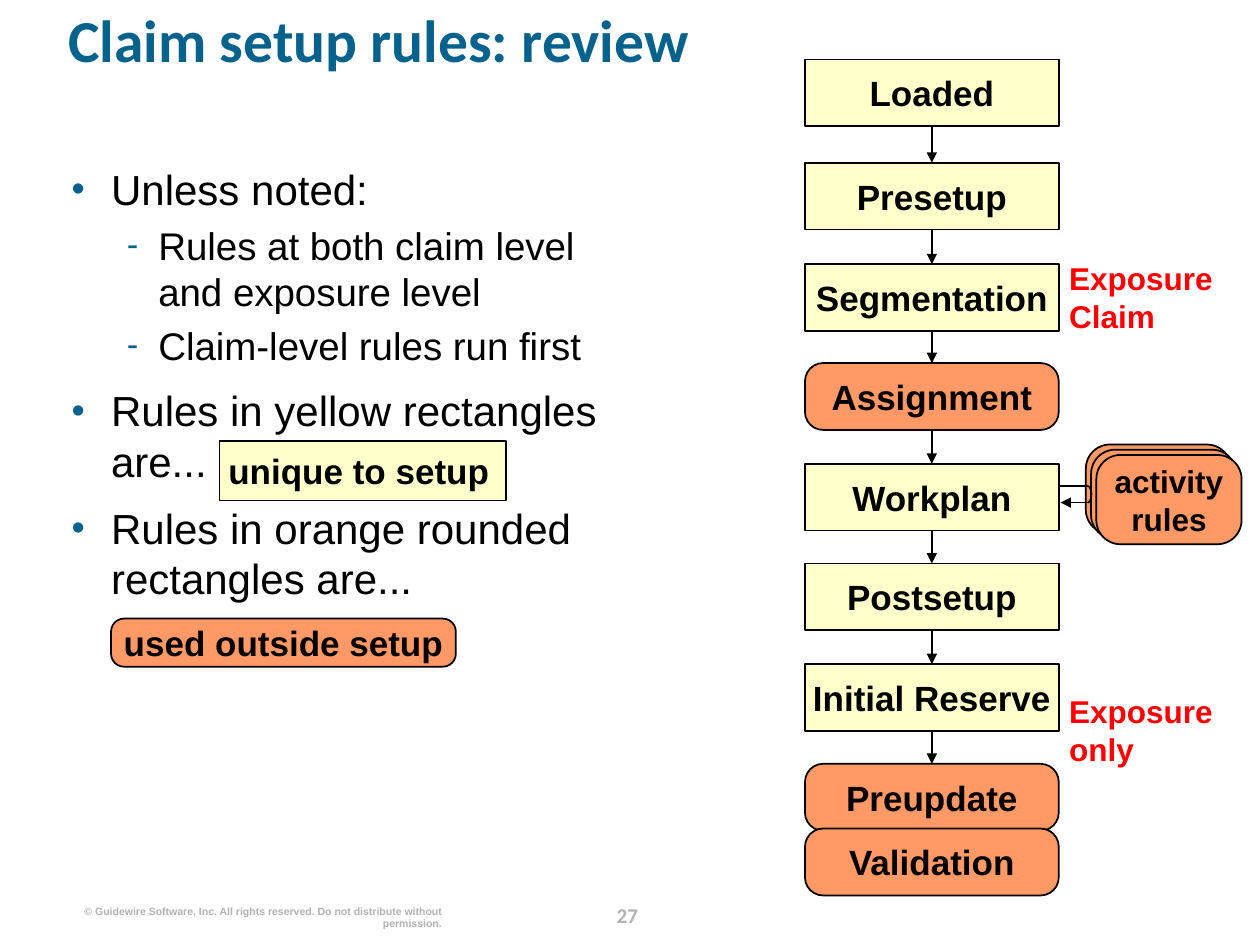
from math import cos, pi, sin

from lxml import etree
from pptx import Presentation
from pptx.dml.color import RGBColor
from pptx.enum.shapes import MSO_CONNECTOR, MSO_SHAPE
from pptx.enum.text import MSO_ANCHOR, MSO_AUTO_SIZE, PP_ALIGN
from pptx.oxml.ns import qn
from pptx.util import Pt

RECT, ROUND = MSO_SHAPE.RECTANGLE, MSO_SHAPE.ROUNDED_RECTANGLE
STRAIGHT = MSO_CONNECTOR.STRAIGHT
LEFT, CENTER, RIGHT = PP_ALIGN.LEFT, PP_ALIGN.CENTER, PP_ALIGN.RIGHT
TOP, MIDDLE = MSO_ANCHOR.TOP, MSO_ANCHOR.MIDDLE

COLORS = {"blue": "04628C", "black": "000000", "gray": "B2B2B2",
          "red": "FF0000", "yellow": "FFFFCC", "orange": "FF9966"}
FILLS = {RECT: "yellow", ROUND: "orange"}


def color(name):
    return RGBColor.from_string(COLORS[name])


def set_frame(frame, anchor=TOP, wrap=True, inset=0):
    frame.auto_size = MSO_AUTO_SIZE.NONE
    frame.word_wrap = wrap
    frame.vertical_anchor = anchor
    frame.margin_left = Pt(inset)
    frame.margin_top = frame.margin_right = frame.margin_bottom = 0


def write(para, text, size, tint="black", bold=True, align=LEFT,
          font="Arial", space=None):
    """Add text to a paragraph, with a line break at each newline."""
    para.alignment = align
    if space:
        para.line_spacing = space
    for i, line in enumerate(text.split("\n")):
        if i:
            para.add_line_break()
        run = para.add_run()
        run.text = line
        run.font.name, run.font.size, run.font.bold = font, Pt(size), bold
        run.font.color.rgb = color(tint)


def add_label(slide, box, text, size, tint, **style):
    label = slide.shapes.add_textbox(*map(Pt, box))
    set_frame(label.text_frame)
    write(label.text_frame.paragraphs[0], text, size, tint, **style)


def add_box(slide, kind, box, text="", size=20, align=CENTER, inset=0):
    shape = slide.shapes.add_shape(kind, *map(Pt, box))
    shape.shadow.inherit = False
    shape.fill.solid()
    shape.fill.fore_color.rgb = color(FILLS[kind])
    shape.line.color.rgb = color("black")
    shape.line.width = Pt(1)
    if kind == ROUND:
        shape.adjustments[0] = 0.27
    if text:
        set_frame(shape.text_frame, MIDDLE, False, inset)
        write(shape.text_frame.paragraphs[0], text, size, align=align)
    return shape


def add_line(slide, start=(0, 0), end=(0, 0), arrow=True):
    line = slide.shapes.add_connector(STRAIGHT, *map(Pt, (*start, *end)))
    line.line.color.rgb = color("black")
    line.line.width = Pt(1)
    if arrow:
        etree.SubElement(line.line._get_or_add_ln(), qn("a:tailEnd"),
                         type="triangle")
    etree.SubElement(line._element.spPr, qn("a:effectLst"))
    return line


def add_title(slide, box, text):
    title = slide.shapes.title
    title.left, title.top, title.width, title.height = map(Pt, box)
    set_frame(title.text_frame)
    write(title.text_frame.paragraphs[0], text, 34, "blue",
          font="Calibri", space=0.8)


def add_bullet(para, mark, left, hang):
    props = para._p.get_or_add_pPr()
    props.set("marL", str(Pt(left)))
    props.set("indent", str(-Pt(hang)))
    tint = etree.SubElement(props, qn("a:buClr"))
    etree.SubElement(tint, qn("a:srgbClr"), val=COLORS["blue"])
    etree.SubElement(props, qn("a:buSzPct"), val="90000")
    etree.SubElement(props, qn("a:buFont"), typeface="Arial")
    etree.SubElement(props, qn("a:buChar"), char=mark)


def add_notes(slide, box):
    """Place the bullet list and the two colour keys."""
    x, y, _, _ = box
    levels = (("•", 22.5, 22.5, 24, 9.6), ("-", 49.5, 18, 22, 4.4))
    items = ((0, "Unless noted:"),
             (1, "Rules at both claim level and exposure level"),
             (1, "Claim-level rules run first"),
             (0, "Rules in yellow rectangles are..."),
             (0, "Rules in orange rounded rectangles are..."))
    frame = slide.shapes.add_textbox(*map(Pt, box)).text_frame
    set_frame(frame)
    for i, (level, text) in enumerate(items):
        para = frame.add_paragraph() if i else frame.paragraphs[0]
        mark, left, hang, size, gap = levels[level]
        add_bullet(para, mark, left, hang)
        para.level = level
        para.space_before = Pt(gap if i else 0)
        write(para, text, size, bold=False)
    add_box(slide, RECT, (x + 84.5, y + 158.5, 163.5, 34),
            "unique to setup", align=LEFT, inset=5)
    add_box(slide, ROUND, (x + 22.5, y + 260, 197, 27.5),
            "used outside setup")


def add_flow(slide, box):
    """Stack the rule sets from top to bottom and link them."""
    x, y, wide, _ = box
    high = 38.2
    steps = ((0, RECT, "Loaded"), (59, RECT, "Presetup"),
             (117, RECT, "Segmentation"), (173.5, ROUND, "Assignment"),
             (231, RECT, "Workplan"), (288, RECT, "Postsetup"),
             (345.5, RECT, "Initial Reserve"), (402.5, ROUND, "Preupdate"),
             (439.5, ROUND, "Validation"))
    boxes = [add_box(slide, kind, (x, y + drop, wide, high), text)
             for drop, kind, text in steps]
    for upper, lower in zip(boxes[:-2], boxes[1:-1]):
        link = add_line(slide)
        link.begin_connect(upper, 2)
        link.end_connect(lower, 0)
    for drop, text in ((114, "Exposure\nClaim"), (361.5, "Exposure\nonly")):
        add_label(slide, (x + wide + 6, y + drop, 88, 44), text, 18, "red")


def add_loop(slide, box):
    """Place the stacked activity rules and the loop to the work plan."""
    x, y, wide, high = box
    for i, text in enumerate(("", "", "activity\nrules")):
        add_box(slide, ROUND, (x + 3 * i, y + 3 * i, wide, high), text, 18)
    turn, tip, mid, half = x + 1, x - 14.5, y + 28.5, 4.7
    add_line(slide, (turn, mid - half), (tip, mid - half), arrow=False)
    add_line(slide, (turn, mid + half), (tip, mid + half))
    arc = [(Pt(turn + 2.2 * cos(a)), Pt(mid + half * sin(a)))
           for a in (pi * (i / 12 - 0.5) for i in range(13))]
    path = slide.shapes.build_freeform(*arc[0])
    path.add_line_segments(arc[1:], close=False)
    curve = path.convert_to_shape()
    curve.shadow.inherit = False
    curve.fill.background()
    curve.line.color.rgb = color("black")
    curve.line.width = Pt(1)


def add_footer(slide, box):
    x, y, _, _ = box
    add_label(slide, (x, y + 5, 208.5, 16),
              "© Guidewire Software, Inc. All rights reserved. "
              "Do not distribute without permission.",
              6, "gray", align=RIGHT)
    add_label(slide, (x + 294, y, 41, 18), "27", 12, "gray", align=CENTER,
              font="Calibri", space=Pt(18))


def main():
    deck = Presentation()
    deck.slide_width, deck.slide_height = Pt(720), Pt(540)
    slide = deck.slides.add_slide(deck.slide_layouts[5])
    add_title(slide, (39, 9.5, 655, 58), "Claim setup rules: review")
    add_notes(slide, (41, 93.5, 312.5, 409))
    add_flow(slide, (460, 34, 145, 478))
    add_loop(slide, (620.5, 254, 83, 51))
    add_footer(slide, (44, 512, 335, 21))
    deck.save("out.pptx")


if __name__ == "__main__":
    main()
